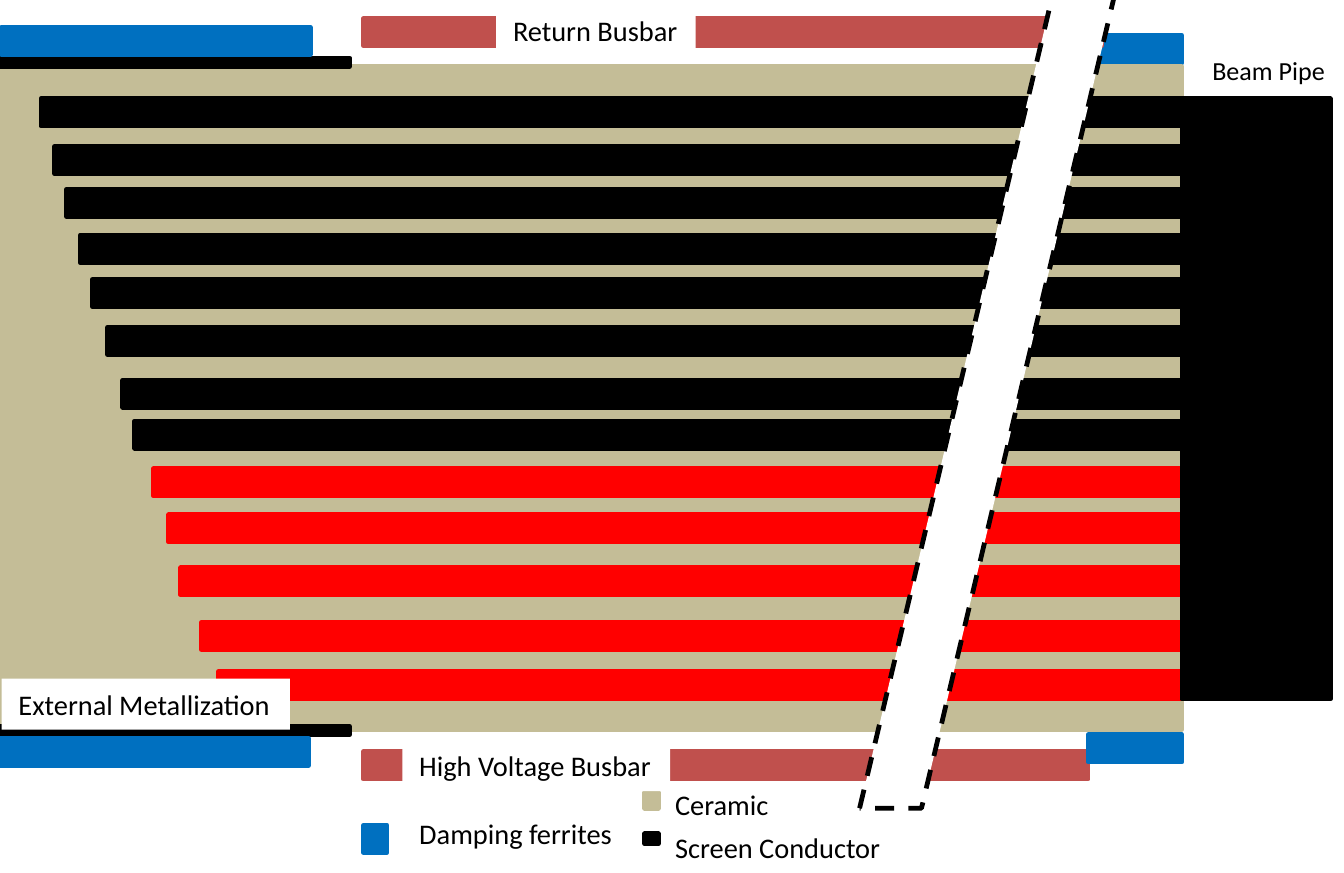
from pptx import Presentation, util as u
from pptx.dml.color import RGBColor
from pptx.enum import dml, shapes, text

PX = 9144  # EMU per px, 100 px to the inch
WIDTH, HEIGHT = 788, 512
COLORS = {"ferrite": "0070C0", "ceramic": "C4BD97", "screen": "000000",
          "live": "FF0000", "busbar": "C0504D", "white": "FFFFFF"}

# Content: (colour, left, top, width, height)
BAR_H = 16
BODY = [("ferrite", 638, 21, 55, BAR_H), ("ceramic", 0, 39, 693, 389)]
SCREEN_BARS = [(24, 58), (32, 86), (39, 111), (47, 138), (54, 164),
               (63, 192), (72, 223), (79, 247)]
LIVE_BARS = [(90, 275), (99, 302), (106, 333), (118, 365), (128, 394)]
BAR_MIN_W, BAR_MIN_RIGHT = 638, 693
FITTINGS = [
    ("busbar", 213, 11, 433, BAR_H), ("busbar", 213, 441, 425, BAR_H),
    ("screen", 0, 34, 205, 5), ("screen", 0, 426, 205, 5),
]
LEGEND = [("ceramic", 378, 465, 8, 9), ("screen", 378, 489, 8, 6),
          ("ferrite", 213, 484, 14, BAR_H)]
GAP = (504, -5, 150, 479)
GAP_SLANT = 0.758
FRONT = [
    ("ferrite", 638, 431, 55, BAR_H), ("ferrite", 0, 433, 181, BAR_H),
    ("ferrite", 1, 16, 181, BAR_H), ("screen", 693, 58, 87, 352),
]
# Labels: (words, left, top, width, height, points, fill)
LABELS = [
    ("Return Busbar", 291, 3, 117, 30, 12, "white"),
    ("High Voltage Busbar", 236, 434, 157, 30, 12, "white"),
    ("Beam Pipe", 701, 27, 87, 29, 11, "white"),
    ("External Metallization", 1, 398, 169, 30, 12, "white"),
    ("Damping ferrites", 236, 474, 134, 30, 12, "white"),
    ("Ceramic", 386, 457, 76, 30, 12, None),
    ("Screen Conductor", 386, 482, 142, 30, 12, None),
]
FRAME = {"word_wrap": False, "auto_size": text.MSO_AUTO_SIZE.SHAPE_TO_FIT_TEXT,
         "vertical_anchor": text.MSO_ANCHOR.TOP}

prs = Presentation()
prs.slide_width, prs.slide_height = WIDTH * PX, HEIGHT * PX
s = prs.slides.add_slide(prs.slide_layouts[6])


def rgb(name):
    return RGBColor.from_string(COLORS[name])


def add_block(fill, box, line=None, kind=shapes.MSO_SHAPE.RECTANGLE):
    sp = s.shapes.add_shape(kind, *(v * PX for v in box))
    sp.shadow.inherit = False
    sp.fill.solid()
    sp.fill.fore_color.rgb = rgb(fill)
    if line:
        sp.line.color.rgb = rgb(line)
        sp.line.width = u.Pt(2)
    else:
        sp.line.fill.background()
    return sp


def add_blocks(blocks):
    for color, *box in blocks:
        add_block(color, box, color)


def add_label(words, *box, size, fill):
    if fill:
        sp = add_block(fill, box)
    else:
        sp = s.shapes.add_textbox(*(v * PX for v in box))
    tf = sp.text_frame
    for name, value in FRAME.items():
        setattr(tf, name, value)
    p = tf.paragraphs[0]
    p.alignment = text.PP_ALIGN.LEFT
    r = p.add_run()
    r.text = words
    r.font.name, r.font.size = "Calibri", u.Pt(size)
    r.font.color.rgb = rgb("screen")


# Ceramic body and conductors, which run on behind the beam pipe
add_blocks(BODY)
for color, bars in (("screen", SCREEN_BARS), ("live", LIVE_BARS)):
    add_blocks((color, left, top, max(BAR_MIN_W, BAR_MIN_RIGHT - left), BAR_H)
               for left, top in bars)

# Busbars, metallization and legend keys
add_blocks(FITTINGS + LEGEND)

# Slanted break across the drawing
gap = add_block("white", GAP, "screen", shapes.MSO_SHAPE.PARALLELOGRAM)
gap.adjustments[0] = GAP_SLANT
gap.line.dash_style = dml.MSO_LINE.DASH

# Ferrites and beam pipe, then the labels
add_blocks(FRONT)
for words, *box, size, fill in LABELS:
    add_label(words, *box, size=size, fill=fill)

prs.save("out.pptx")
